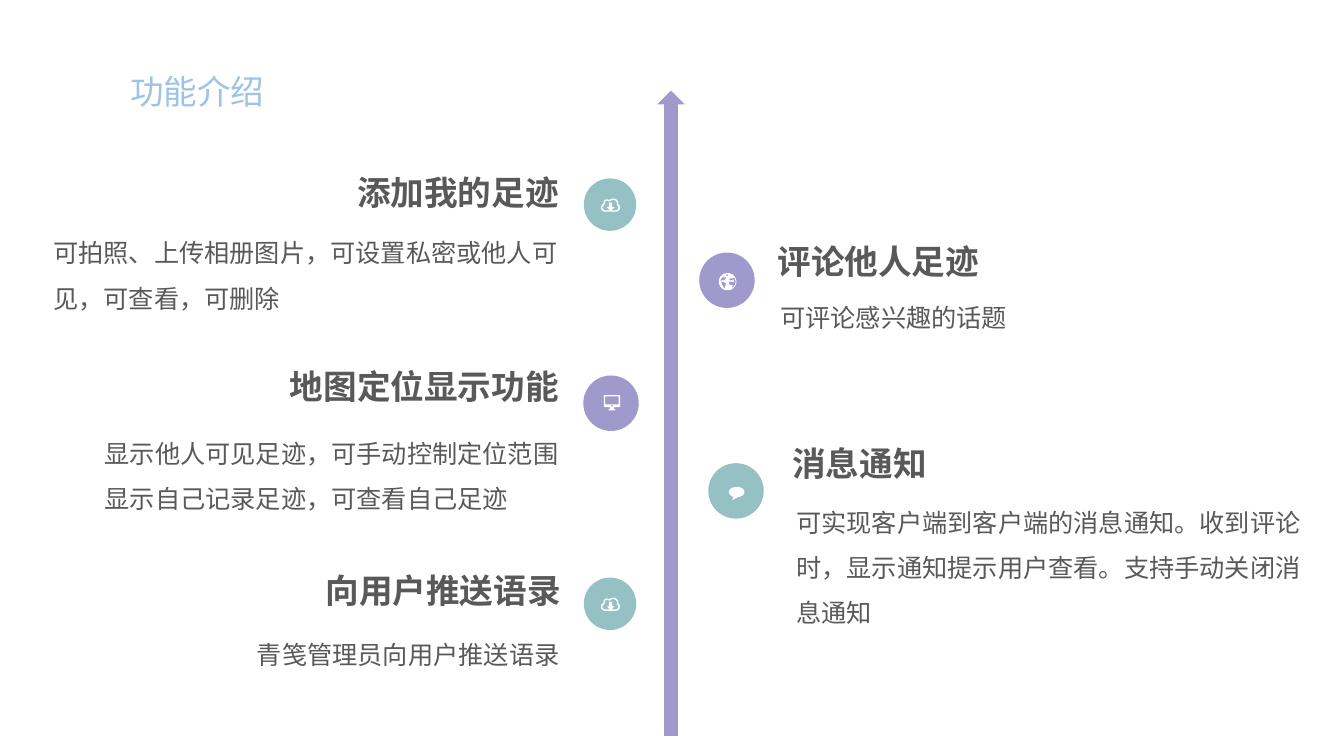
import math

import pptx
import pptx.dml.color
import pptx.enum.shapes
import pptx.enum.text
import pptx.oxml.ns
import pptx.util

Inches = pptx.util.Inches
ALIGN = pptx.enum.text.PP_ALIGN
SHAPE = pptx.enum.shapes.MSO_SHAPE

TEAL, PURPLE, WHITE = "95C1C4", "A099CB", "FFFFFF"
GREY, BLUE = "595959", "9DC3E6"
HEAD_FONT, BODY_FONT = "Noto Sans CJK SC", "Arial"


def ellipse(cx, cy, rx, ry, start=0, end=360):
    """Points along an elliptical arc, angles in degrees."""
    angles = [math.radians(start + (end - start) * i / 36) for i in range(37)]
    return [(cx + rx * math.cos(a), cy + ry * math.sin(a)) for a in angles]


# Icon outlines in thousandths of an inch; inner outlines are holes
CLOUD = [
    ellipse(45, 90, 45, 40, 90, 230) + ellipse(58, 42, 32, 34, 170, 310)
    + ellipse(122, 45, 50, 45, 210, 370) + ellipse(147, 90, 43, 40, -50, 90),
    ellipse(45, 90, 29, 27, 90, 240) + ellipse(58, 42, 19, 21, 165, 315)
    + ellipse(122, 46, 37, 33, 210, 375) + ellipse(145, 90, 29, 27, -60, 90)
    + [(103, 117), (135, 87), (112, 85), (112, 40), (80, 40), (80, 85),
       (60, 87), (90, 117)],
]
GLOBE = [
    ellipse(87, 85, 87, 85),
    [(20, 60), (60, 20), (60, 30), (45, 40), (50, 45), (70, 38), (75, 50),
     (60, 55), (62, 62), (50, 75), (40, 68), (25, 75), (32, 88), (50, 88),
     (72, 105), (70, 120), (60, 130), (60, 150), (48, 150), (45, 130),
     (30, 115), (28, 92), (18, 75)],
    [(167, 90), (160, 115), (140, 142), (130, 140), (138, 125), (130, 115),
     (110, 120), (100, 105), (105, 85), (130, 85), (140, 95), (150, 75),
     (140, 60), (135, 75), (120, 68), (100, 72), (110, 52), (160, 50)],
    [(92, 12), (70, 18), (80, 35), (92, 22)],
]
MONITOR = [
    [(5, 0), (155, 0), (160, 5), (160, 112), (152, 120), (100, 120),
     (102, 138), (115, 145), (115, 150), (45, 150), (45, 145), (58, 138),
     (60, 120), (8, 120), (0, 112), (0, 5)],
    [(13, 13), (147, 13), (147, 92), (13, 92)],
    ellipse(80, 106, 8, 8),
]
BUBBLE = [ellipse(77, 51, 77, 51, -235, 80) + [(28, 135), (45, 115)]]

# Centre x, centre y, diameter, colour, icon, icon left, icon top
BADGES = [
    (6.05, 2.03, 0.52, TEAL, CLOUD, 5.96, 1.97),
    (7.21, 2.78, 0.55, PURPLE, GLOBE, 7.13, 2.71),
    (6.06, 4.00, 0.55, PURPLE, MONITOR, 5.99, 3.92),
    (7.30, 4.87, 0.55, TEAL, BUBBLE, 7.23, 4.83),
    (6.05, 5.99, 0.52, TEAL, CLOUD, 5.96, 5.93),
]

# Each feature: heading, its left, top, width; body lines, their box
FEATURES = [
    ("添加我的足迹", (3.42, 1.66, 2.22),
     ["可拍照、上传相册图片，可设置私密或他人可见，可查看，可删除"],
     (0.43, 2.16, 5.32, 0.96)),
    ("评论他人足迹", (7.59, 2.34, 2.22),
     ["可评论感兴趣的话题"], (7.64, 2.8, 5.32, 0.5)),
    ("地图定位显示功能", (2.75, 3.58, 2.89),
     ["显示他人可见足迹，可手动控制定位范围", "显示自己记录足迹，可查看自己足迹"],
     (0.94, 4.15, 4.96, 0.95)),
    ("消息通知", (7.74, 4.34, 1.55),
     ["可实现客户端到客户端的消息通知。收到评论时，显示通知提示用户查看。支持手动关闭消息通知"],
     (7.8, 4.83, 5.32, 1.41)),
    ("向用户推送语录", (3.1, 5.6, 2.56),
     ["青笺管理员向用户推送语录"], (2.45, 6.14, 3.31, 0.5)),
]


def rgb(value):
    return pptx.dml.color.RGBColor.from_string(value)


def paint(sp, color):
    sp.shadow.inherit = False
    sp.fill.solid()
    sp.fill.fore_color.rgb = rgb(color)
    sp.line.fill.background()


def write(sp, lines, size, font, color, bold=False, align=ALIGN.LEFT,
          spacing=1.0, wrap=False):
    tf = sp.text_frame
    tf.word_wrap = wrap
    tf.auto_size = pptx.enum.text.MSO_AUTO_SIZE.SHAPE_TO_FIT_TEXT
    tf.vertical_anchor = pptx.enum.text.MSO_ANCHOR.TOP
    for i, line in enumerate(lines):
        p = tf.add_paragraph() if i else tf.paragraphs[0]
        p.alignment = align
        p.line_spacing = spacing
        r = p.add_run()
        r.text = line
        r.font.size = pptx.util.Pt(size)
        r.font.name = font
        r.font.bold = bold
        r.font.color.rgb = rgb(color)
        # Chinese text takes its typeface from the East Asian font
        rPr = r._r.get_or_add_rPr()
        rPr.set("lang", "zh-CN")
        ea = rPr.makeelement(pptx.oxml.ns.qn("a:ea"), {"typeface": font})
        rPr.find(pptx.oxml.ns.qn("a:latin")).addnext(ea)


def add_title(s, text):
    sp = s.shapes.title
    sp.left, sp.top = Inches(1.19), Inches(0.65)
    sp.width, sp.height = Inches(1.55), Inches(0.5)
    write(sp, [text], 24, HEAD_FONT, BLUE)


def add_feature(s, heading, place, lines, box):
    sp = s.shapes.add_textbox(*map(Inches, place), Inches(0.5))
    write(sp, [heading], 24, HEAD_FONT, GREY, bold=True, align=ALIGN.RIGHT)
    sp = s.shapes.add_textbox(*map(Inches, box))
    write(sp, lines, 18, BODY_FONT, GREY, spacing=1.5, wrap=True)


def add_badge(s, cx, cy, size, color, icon, left, top):
    group = s.shapes.add_group_shape()
    disc = group.shapes.add_shape(
        SHAPE.OVAL, Inches(cx - size / 2), Inches(cy - size / 2),
        Inches(size), Inches(size))
    paint(disc, color)
    builder = group.shapes.build_freeform(*icon[0][0], scale=Inches(1) / 1000)
    for i, outline in enumerate(icon):
        if i:
            builder.move_to(*outline[0])
        builder.add_line_segments(outline[1:], close=True)
    paint(builder.convert_to_shape(Inches(left), Inches(top)), WHITE)


def main():
    prs = pptx.Presentation()
    prs.slide_width, prs.slide_height = Inches(13.33), Inches(7.5)
    s = prs.slides.add_slide(prs.slide_layouts[5])
    add_title(s, "功能介绍")

    # Central timeline
    arrow = s.shapes.add_shape(SHAPE.UP_ARROW, Inches(6.52), Inches(0.9),
                               Inches(0.27), Inches(6.4))
    paint(arrow, PURPLE)

    # Features on both sides of it
    for feature in FEATURES:
        add_feature(s, *feature)
    for badge in BADGES:
        add_badge(s, *badge)
    prs.save("out.pptx")


if __name__ == "__main__":
    main()
